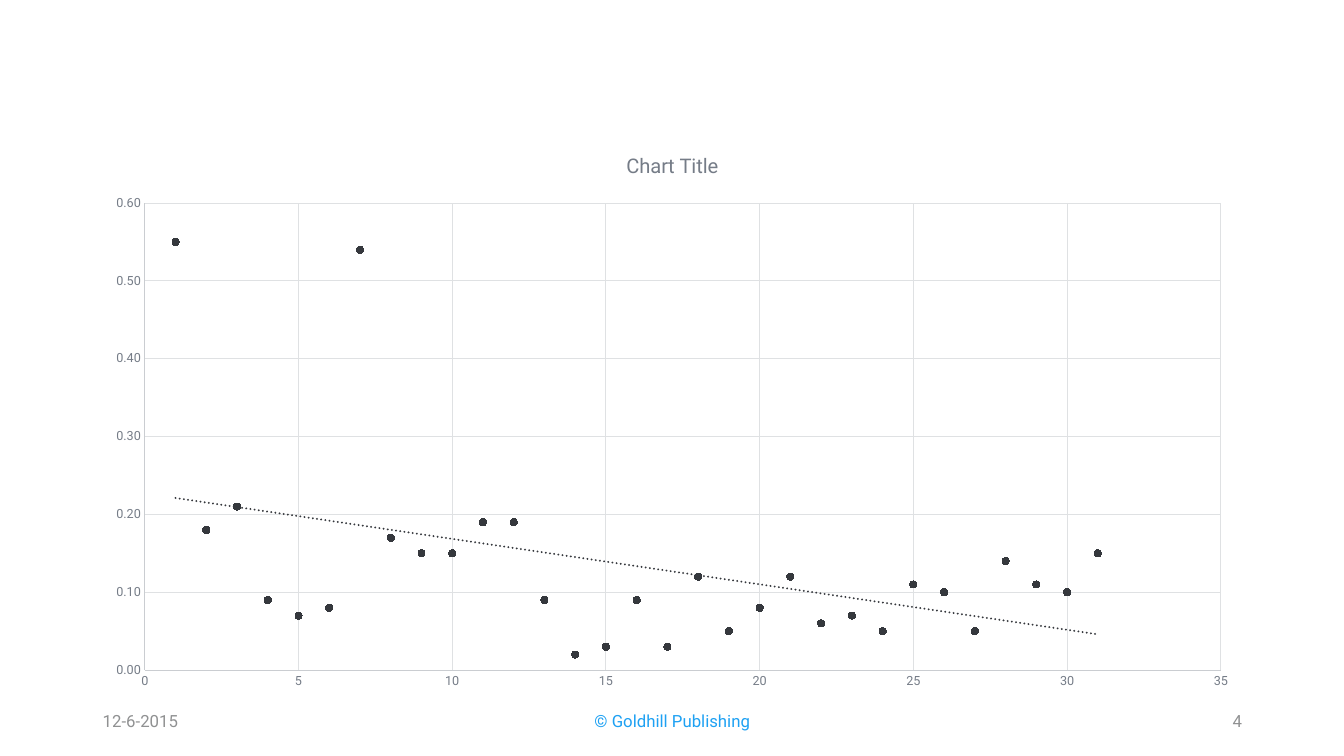
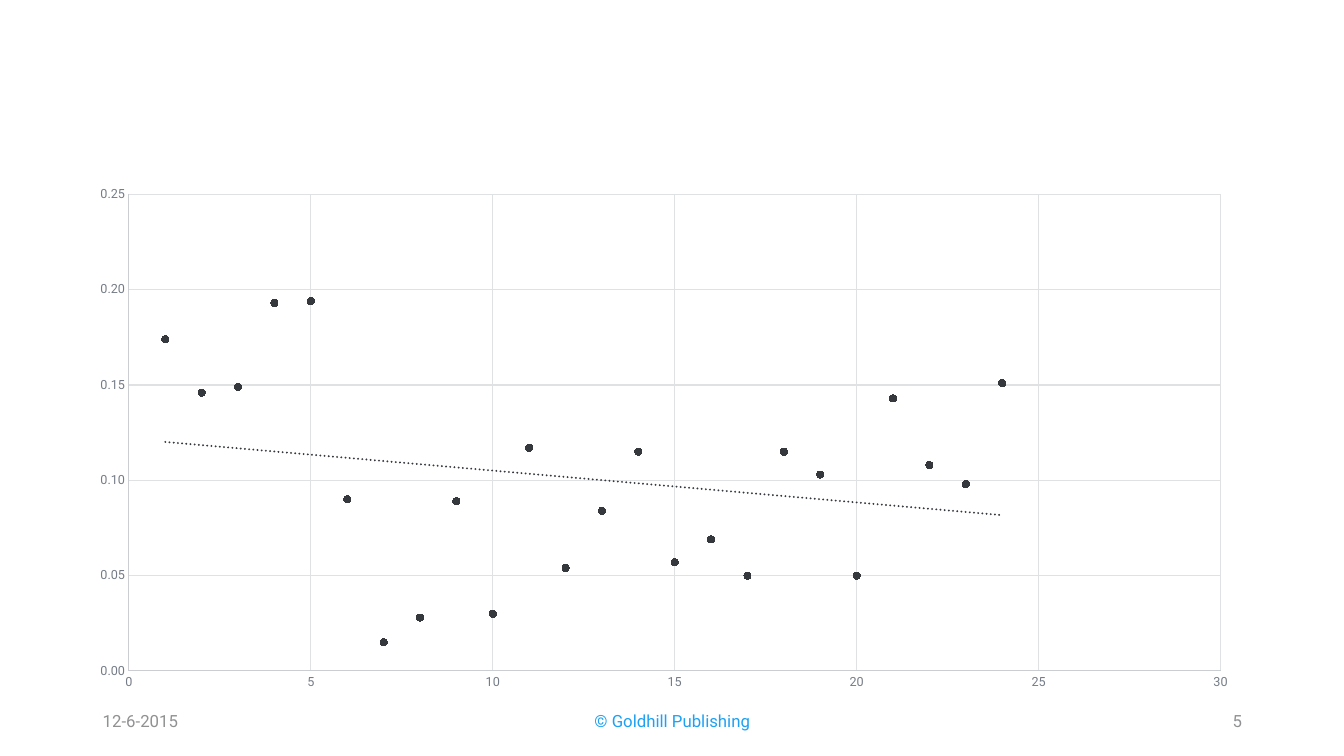
"""Build two scatter chart slides with linear trend lines and a shared footer."""
import pptx
import pptx.chart.data
import pptx.dml.color
import pptx.enum.chart
import pptx.enum.text
import pptx.oxml
import pptx.oxml.ns
import pptx.util

Cm, Pt = pptx.util.Cm, pptx.util.Pt
RGB = pptx.dml.color.RGBColor.from_string
ALIGN = pptx.enum.text.PP_ALIGN

THEME = {
    "font": "Roboto",
    "ink": "35383D", "axis_text": "757C87", "axis_line": "CACDD1", "grid": "DFE1E3",
    "footer": "909192", "accent": "1EA1F3",
    "title_size": 14.4, "footer_size": 12, "chart_size": 10, "axis_size": 9,
    "rule_width": 0.75, "trend_width": 1.5, "marker_size": 5,
}

FOOTER_TOP, FOOTER_HEIGHT = 17.65, 1.02
FOOTER_PARTS = [
    ("12-6-2015", 2.34, 7.62, ALIGN.LEFT, "footer"),
    ("© Goldhill Publishing", 11.23, 11.43, ALIGN.CENTER, "accent"),
    ("{number}", 23.93, 7.62, ALIGN.RIGHT, "footer"),
]

CHARTS = [
    {
        "number": 4, "title": "Chart Title",
        "frame": (2.34, 3.33, 29.21, 14.35), "plot": (3.65, 5.12, 27.12, 11.77),
        "x_scale": (35, 5), "y_scale": (0.6, 0.1),
        "values": [0.55, 0.18, 0.21, 0.09, 0.07, 0.08, 0.54, 0.17, 0.15, 0.15, 0.19,
                   0.19, 0.09, 0.02, 0.03, 0.09, 0.03, 0.12, 0.05, 0.08, 0.12, 0.06,
                   0.07, 0.05, 0.11, 0.1, 0.05, 0.14, 0.11, 0.1, 0.15],
    },
    {
        "number": 5, "title": None,
        "frame": (1.93, 4.45, 29.59, 13.21), "plot": (3.25, 4.9, 27.51, 12.01),
        "x_scale": (30, 5), "y_scale": (0.25, 0.05),
        "values": [0.174, 0.146, 0.149, 0.193, 0.194, 0.09, 0.015, 0.028, 0.089, 0.03,
                   0.117, 0.054, 0.084, 0.115, 0.057, 0.069, 0.05, 0.115, 0.103, 0.05,
                   0.143, 0.108, 0.098, 0.151],
    },
]


def assign(target, values):
    for name, value in values.items():
        setattr(target, name, value)


def style_font(font, size, color):
    assign(font, {"name": THEME["font"], "size": Pt(THEME[size]), "bold": False})
    font.color.rgb = RGB(THEME[color])


def style_line(line, color):
    line.color.rgb = RGB(THEME[color])
    line.width = Pt(THEME["rule_width"])


def add_footer(page, number):
    for text, left, width, alignment, color in FOOTER_PARTS:
        box = page.shapes.add_textbox(
            Cm(left), Cm(FOOTER_TOP), Cm(width), Cm(FOOTER_HEIGHT))
        assign(box.text_frame, {
            "word_wrap": True, "vertical_anchor": pptx.enum.text.MSO_ANCHOR.MIDDLE})
        para = box.text_frame.paragraphs[0]
        para.alignment = alignment
        span = para.add_run()
        span.text = text.format(number=number)
        style_font(span.font, "footer_size", color)


def style_axis(axis, scale, number_format):
    maximum, step = scale
    assign(axis, {
        "minimum_scale": 0, "maximum_scale": maximum, "major_unit": step,
        "has_major_gridlines": True,
        "major_tick_mark": pptx.enum.chart.XL_TICK_MARK.NONE,
        "minor_tick_mark": pptx.enum.chart.XL_TICK_MARK.NONE,
    })
    assign(axis.tick_labels, {
        "number_format": number_format, "number_format_is_linked": False})
    style_font(axis.tick_labels.font, "axis_size", "axis_text")
    style_line(axis.format.line, "axis_line")
    style_line(axis.major_gridlines.format.line, "grid")


def place_plot(chart, frame, plot):
    left, top, width, height = frame
    shares = {
        "x": (plot[0] - left) / width, "y": (plot[1] - top) / height,
        "w": plot[2] / width, "h": plot[3] / height,
    }
    entries = "".join(f'<c:{key} val="{share:.4f}"/>' for key, share in shares.items())
    layout = pptx.oxml.parse_xml(
        f'<c:layout {pptx.oxml.ns.nsdecls("c")}><c:manualLayout>'
        '<c:layoutTarget val="inner"/><c:xMode val="edge"/><c:yMode val="edge"/>'
        f'{entries}</c:manualLayout></c:layout>')
    area = chart.element.xpath("c:chart/c:plotArea")[0]
    for previous in area.xpath("c:layout"):
        area.remove(previous)
    area.insert(0, layout)


def add_trend(chart):
    trend = pptx.oxml.parse_xml(
        f'<c:trendline {pptx.oxml.ns.nsdecls("c", "a")}><c:spPr>'
        f'<a:ln w="{Pt(THEME["trend_width"])}" cap="rnd"><a:solidFill>'
        f'<a:srgbClr val="{THEME["ink"]}"/></a:solidFill><a:prstDash val="sysDot"/>'
        '</a:ln></c:spPr><c:trendlineType val="linear"/>'
        '<c:dispRSqr val="0"/><c:dispEq val="0"/></c:trendline>')
    chart.element.xpath("//c:ser/c:xVal")[0].addprevious(trend)


def add_scatter(page, content):
    data = pptx.chart.data.XyChartData()
    points = data.add_series("Series 1")
    for x, y in enumerate(content["values"], 1):
        points.add_data_point(x, y)
    chart = page.shapes.add_chart(
        pptx.enum.chart.XL_CHART_TYPE.XY_SCATTER,
        *map(Cm, content["frame"]), data).chart
    assign(chart, {"has_legend": False, "has_title": bool(content["title"])})
    style_font(chart.font, "chart_size", "ink")
    if content["title"]:
        para = chart.chart_title.text_frame.paragraphs[0]
        span = para.add_run()
        span.text = content["title"]
        style_font(span.font, "title_size", "axis_text")
    chart.plots[0].vary_by_categories = False
    style_axis(chart.category_axis, content["x_scale"], "General")
    style_axis(chart.value_axis, content["y_scale"], "0.00")
    series = chart.plots[0].series[0]
    series.format.line.fill.background()
    assign(series.marker, {
        "style": pptx.enum.chart.XL_MARKER_STYLE.CIRCLE, "size": THEME["marker_size"]})
    series.marker.format.fill.solid()
    series.marker.format.fill.fore_color.rgb = RGB(THEME["ink"])
    style_line(series.marker.format.line, "ink")
    add_trend(chart)
    place_plot(chart, content["frame"], content["plot"])


deck = pptx.Presentation()
assign(deck, {"slide_width": Cm(33.87), "slide_height": Cm(19.05)})
for content in CHARTS:
    page = deck.slides.add_slide(deck.slide_layouts[6])
    add_footer(page, content["number"])
    add_scatter(page, content)
deck.save("out.pptx")
